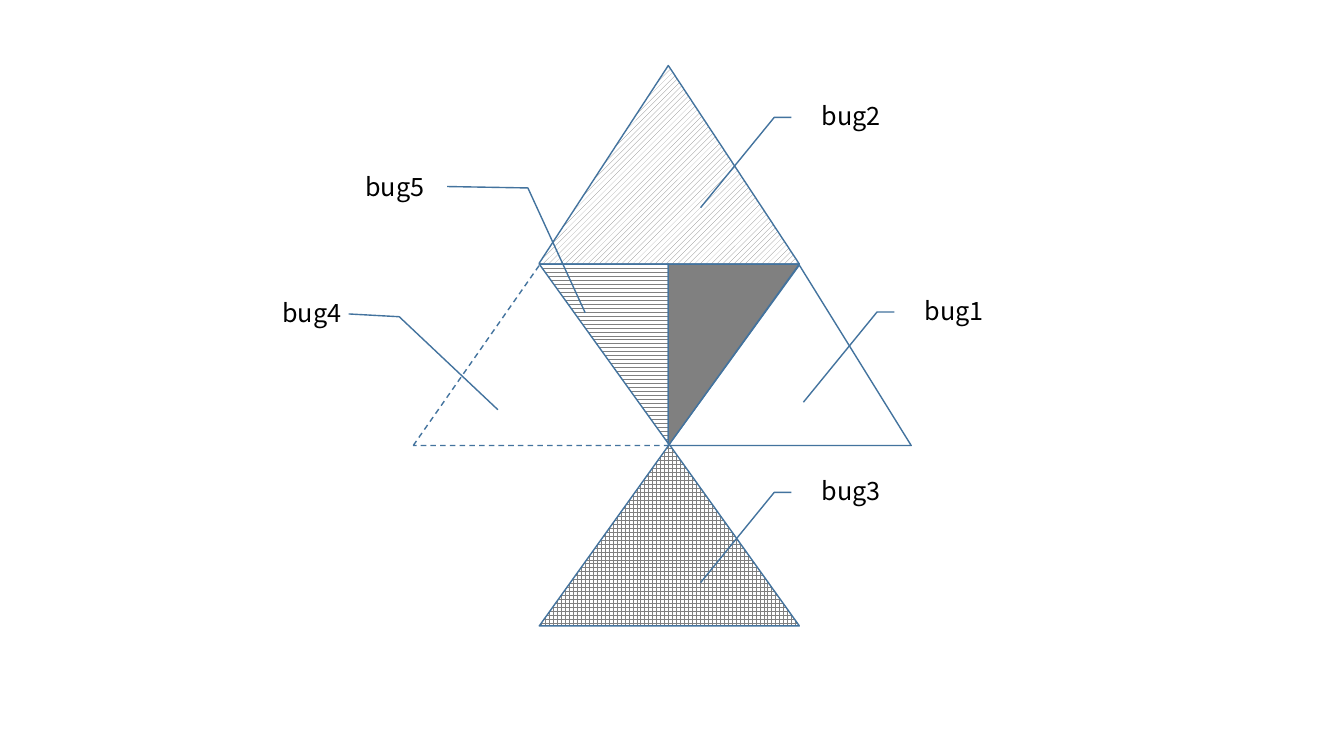
from dataclasses import dataclass
from pptx import Presentation
from pptx import util as u
from pptx.dml.color import RGBColor
from pptx.enum import dml, shapes, text

BLUE = RGBColor(0x43, 0x73, 0x9E)
GRAY = RGBColor(0x80, 0x80, 0x80)
WHITE = RGBColor(0xFF, 0xFF, 0xFF)
BLACK = RGBColor(0x00, 0x00, 0x00)
FONT = "Noto Sans CJK SC"

CELL = 0.1
COLS, ROWS = 133.33, 75
LEFT, AXIS, RIGHT, TIP = 53.5, 66.3, 79.3, 90.4
PEAK, SHOULDER, WAIST, FOOT = 6.5, 26.2, 44.2, 62.1
LABEL_W, LABEL_H = 20.3, 5.6
RIGHT_LEADER = (0.188, -0.083, 0.188, -0.167, 1.787, -0.527)


@dataclass
class Outline:
    points: list[tuple[float, float]]
    pattern: dml.MSO_PATTERN | None = None


@dataclass
class Triangle:
    kind: shapes.MSO_SHAPE
    box: tuple[float, float, float, float]
    pattern: dml.MSO_PATTERN | None = None
    color: RGBColor | None = None
    apex: float | None = None
    dashed: bool = False
    rotation: int = 0
    flipped: bool = False


@dataclass
class Label:
    name: str
    col: float
    row: float
    leader: tuple[float, ...] = RIGHT_LEADER
    align: text.PP_ALIGN = text.PP_ALIGN.CENTER


PARTS = [
    Outline([(RIGHT - 0.1, SHOULDER), (RIGHT, SHOULDER), (RIGHT - 0.1, SHOULDER + 0.1)]),
    Outline([(RIGHT, SHOULDER + 0.1), (TIP, WAIST), (AXIS, WAIST)]),
    Triangle(shapes.MSO_SHAPE.ISOSCELES_TRIANGLE, (LEFT, 44.1, RIGHT, FOOT),
             pattern=dml.MSO_PATTERN.LARGE_GRID),
    Outline([(RIGHT, SHOULDER), (LEFT, SHOULDER), (LEFT, SHOULDER - 0.1), (AXIS, PEAK)],
            dml.MSO_PATTERN.WIDE_UPWARD_DIAGONAL),
    Triangle(shapes.MSO_SHAPE.ISOSCELES_TRIANGLE, (41, SHOULDER, 66.6, WAIST),
             apex=0.492, dashed=True),
    Label("bug1", 90.4, 29.9),
    Label("bug2", 80.2, 10.6),
    Label("bug3", 80.2, 47.8),
    Triangle(shapes.MSO_SHAPE.RIGHT_TRIANGLE, (LEFT, SHOULDER, AXIS, 44),
             pattern=dml.MSO_PATTERN.WAVE, rotation=180),
    Triangle(shapes.MSO_SHAPE.RIGHT_TRIANGLE, (AXIS, SHOULDER, RIGHT, WAIST),
             color=GRAY, rotation=180, flipped=True),
    Label("bug4", 26.7, 30.1, (0.188, 0.389, 0.237, 0.636, 1.885, 1.118)),
    Label("bug5", 33.6, 17.6, (0.163, 0.53, 0.188, 0.925, 2.399, 1.205),
          text.PP_ALIGN.RIGHT),
]


def grid(cells: float) -> u.Length:
    return u.Inches(cells * CELL)


def paint(sp, pattern=None, color=None) -> None:
    sp.shadow.inherit = False
    sp.line.color.rgb = BLUE
    sp.line.width = u.Pt(1)
    if pattern is not None:
        sp.fill.patterned()
        sp.fill.pattern = pattern
        sp.fill.fore_color.rgb = GRAY
        sp.fill.back_color.rgb = WHITE
    elif color is not None:
        sp.fill.solid()
        sp.fill.fore_color.rgb = color
    else:
        sp.fill.background()


def draw_outline(s, part: Outline) -> None:
    start, *rest = [(grid(x), grid(y)) for x, y in part.points]
    builder = s.shapes.build_freeform(*start)
    builder.add_line_segments(rest, close=True)
    paint(builder.convert_to_shape(), part.pattern)


def draw_triangle(s, part: Triangle) -> None:
    x1, y1, x2, y2 = part.box
    sp = s.shapes.add_shape(part.kind, grid(x1), grid(y1), grid(x2 - x1), grid(y2 - y1))
    paint(sp, part.pattern, part.color)
    sp.rotation = part.rotation
    if part.apex is not None:
        sp.adjustments[0] = part.apex
    if part.dashed:
        sp.line.dash_style = dml.MSO_LINE.DASH
    if part.flipped:
        sp._element.spPr.xfrm.set("flipH", "1")


def draw_label(s, part: Label) -> None:
    sp = s.shapes.add_shape(shapes.MSO_SHAPE.LINE_CALLOUT_2_NO_BORDER,
                            grid(part.col), grid(part.row), grid(LABEL_W), grid(LABEL_H))
    paint(sp, color=WHITE)
    for i, value in enumerate(part.leader):
        sp.adjustments[i] = value
    tf = sp.text_frame
    tf.margin_left = tf.margin_top = 0
    tf.margin_right, tf.margin_bottom = grid(11.8), grid(3.9)
    tf.vertical_anchor = text.MSO_ANCHOR.MIDDLE
    tf.word_wrap = True
    p = tf.paragraphs[0]
    p.text = part.name
    p.alignment = part.align
    p.font.name = FONT
    p.font.size = u.Pt(18)
    p.font.color.rgb = BLACK


DRAW = {Outline: draw_outline, Triangle: draw_triangle, Label: draw_label}


def main() -> None:
    prs = Presentation()
    prs.slide_width, prs.slide_height = grid(COLS), grid(ROWS)
    s = prs.slides.add_slide(prs.slide_layouts[6])
    for part in PARTS:
        DRAW[type(part)](s, part)
    prs.save("out.pptx")


if __name__ == "__main__":
    main()
